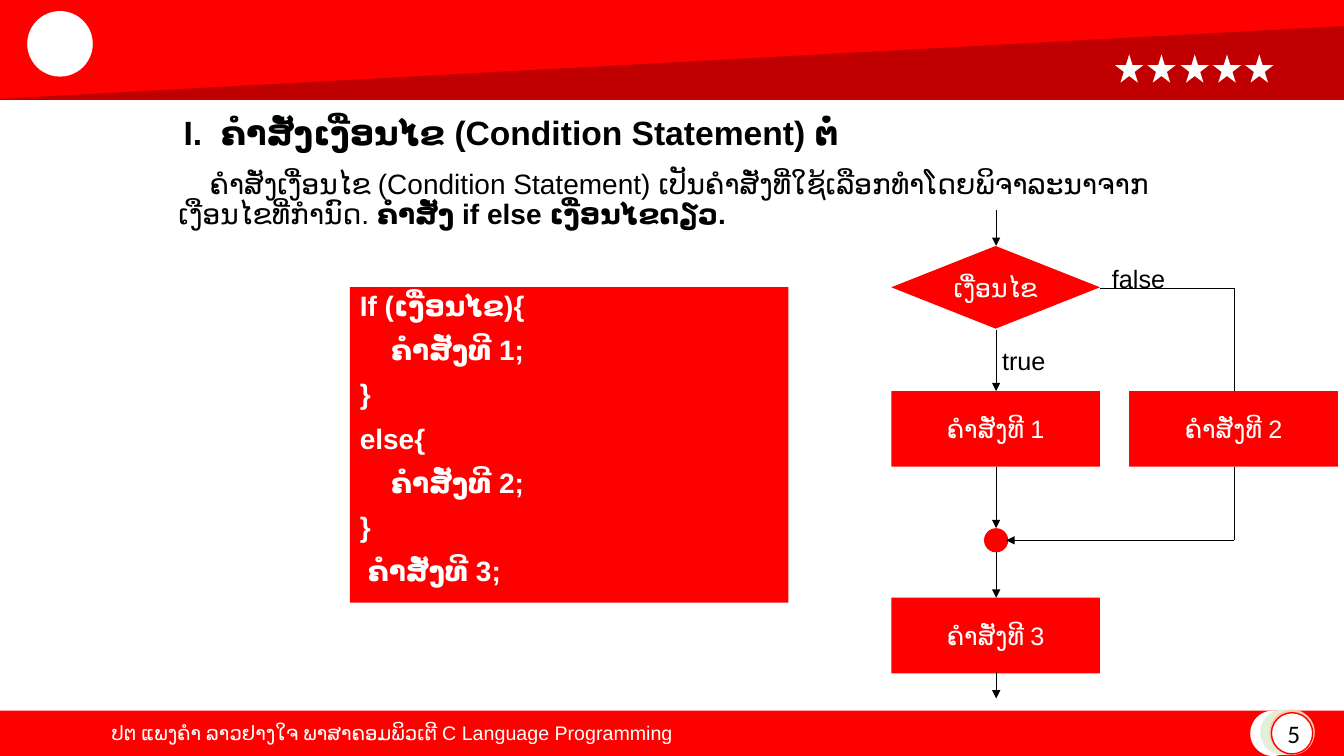
"""Build a slide on the if-else condition statement with its code and flowchart."""
from lxml import etree
from pptx import Presentation
from pptx.dml.color import RGBColor
from pptx.enum.shapes import MSO_CONNECTOR, MSO_SHAPE
from pptx.enum.text import MSO_ANCHOR, MSO_AUTO_SIZE, PP_ALIGN
from pptx.oxml.ns import qn
from pptx.util import Pt

PX = 9144
RECT, OVAL, STAR = MSO_SHAPE.RECTANGLE, MSO_SHAPE.OVAL, MSO_SHAPE.STAR_5_POINT
DECISION = MSO_SHAPE.FLOWCHART_DECISION
STRAIGHT = MSO_CONNECTOR.STRAIGHT
LEFT, CENTER = PP_ALIGN.LEFT, PP_ALIGN.CENTER
TOP, MIDDLE, BOTTOM = MSO_ANCHOR.TOP, MSO_ANCHOR.MIDDLE, MSO_ANCHOR.BOTTOM
NO_FIT, GROW = MSO_AUTO_SIZE.NONE, MSO_AUTO_SIZE.SHAPE_TO_FIT_TEXT

THEME = {
    "red": RGBColor(255, 0, 0), "dark": RGBColor(192, 0, 0),
    "white": RGBColor(255, 255, 255), "black": RGBColor(0, 0, 0),
    "green": RGBColor(226, 240, 217), "peach": RGBColor(248, 203, 173),
    "font": "Arial", "number_font": "Calibri",
    "title": 24, "body": 20, "label": 18, "footer": 14,
}

deck = Presentation()
deck.slide_width, deck.slide_height = 1333 * PX, 750 * PX
page = deck.slides.add_slide(deck.slide_layouts[0])


def add_block(kind, box, color):
    shape = page.shapes.add_shape(kind, *[side * PX for side in box])
    shape.shadow.inherit = False
    shape.fill.solid()
    shape.fill.fore_color.rgb = THEME[color]
    shape.line.fill.background()
    return shape


def format_text(shape, size, color, align=LEFT, anchor=TOP, bold=False, before=0, indents=()):
    frame = shape.text_frame
    frame.word_wrap = True
    frame.vertical_anchor = anchor
    for para in frame.paragraphs:
        para.alignment = align
        para.space_before = Pt(before)
        para.line_spacing = 0.9 if before or size == "title" else 1.0
        for span in para.runs:
            span.font.name = THEME["font"]
            span.font.size = Pt(THEME[size])
            span.font.color.rgb = THEME[color]
            span.font.bold = bold
    for para, (margin, first_line) in zip(frame.paragraphs, indents):
        properties = para._p.get_or_add_pPr()
        properties.set("marL", str(margin * PX))
        properties.set("indent", str(first_line * PX))


add_block(RECT, (-22, -26, 1387, 125), "dark")
add_block(RECT, (-10, -50, 1345, 112), "red").rotation = 356.9
add_block(OVAL, (27, 11, 65, 65), "white")
for index in range(5):
    add_block(STAR, (1106 + round(index * 32.3), 54, 28, 28), "white")

title, subtitle = page.placeholders
for holder, box in ((title, (172, 100, 1000, 57)), (subtitle, (167, 164, 1000, 113))):
    holder.left, holder.top, holder.width, holder.height = [side * PX for side in box]
    holder.text_frame.auto_size = NO_FIT

title.text_frame.text = "I.\tຄໍາສັ່ງເງື່ອນໄຂ (Condition Statement) ຕໍ່"
format_text(title, "title", "black", anchor=BOTTOM, bold=True, indents=[(37, -37)])

para = subtitle.text_frame.paragraphs[0]
para.text = "ຄໍາສັ່ງເງື່ອນໄຂ (Condition Statement) ເປັນຄໍາສັ່ງທີ່ໃຊ້ເລືອກທໍາໂດຍພິຈາລະນາຈາກເງືອນໄຂທີ່ກໍານົດ. "
emphasis = para.add_run()
emphasis.text = "ຄໍາສັ່ງ if else ເງື່ອນໄຂດຽວ."
format_text(subtitle, "body", "black", before=10, indents=[(0, 31)])
emphasis.font.bold = True

add_block(RECT, (0, 705, 1333, 45), "red")
for left, top, color in ((1240, 705, "white"), (1250, 704, "green"), (1259, 704, "peach")):
    add_block(OVAL, (left, top, 45, 45), color)
number = add_block(OVAL, (1261, 707, 41, 41), "white")
number.line.color.rgb = THEME["red"]
number.line.width = Pt(1)
number.text_frame.text = "5"
format_text(number, "label", "black", CENTER, MIDDLE)
number.text_frame.paragraphs[0].runs[0].font.name = THEME["number_font"]

footer = page.shapes.add_textbox(83 * PX, 713 * PX, 612 * PX, 38 * PX)
footer.text_frame.text = "ປຕ ແພງຄໍາ ລາວຢາງໃຈ ພາສາຄອມພິວເຕີ C Language Programming"
format_text(footer, "footer", "white", CENTER, before=10)

code = add_block(RECT, (347, 285, 435, 313), "red")
code.text_frame.text = "If (ເງື່ອນໄຂ){\nຄໍາສັ່ງທີ 1;\n}\nelse{\nຄໍາສັ່ງທີ 2;\n}\nຄໍາສັ່ງທີ 3;"
code_indents = [(margin, 0) for margin in (0, 31, 0, 0, 31, 0, 8)]
format_text(code, "body", "white", bold=True, before=10, indents=code_indents)

for kind, left, top, height, text in (
    (DECISION, 884, 244, 82, "ເງື່ອນໄຂ"),
    (RECT, 884, 388, 75, "ຄໍາສັ່ງທີ 1"),
    (RECT, 1120, 388, 75, "ຄໍາສັ່ງທີ 2"),
    (RECT, 884, 593, 75, "ຄໍາສັ່ງທີ 3"),
):
    step = add_block(kind, (left, top, 207, height), "red")
    step.text_frame.text = text
    format_text(step, "label", "white", CENTER, MIDDLE)
add_block(OVAL, (976, 524, 24, 24), "red")

for start_x, start_y, end_x, end_y, has_arrow in (
    (988, 208, 988, 244, True),
    (988, 327, 988, 388, True),
    (988, 463, 988, 524, True),
    (988, 548, 988, 593, True),
    (988, 667, 988, 693, True),
    (1091, 286, 1224, 286, False),
    (1224, 286, 1224, 388, False),
    (1224, 463, 1224, 536, False),
    (1224, 536, 998, 536, True),
):
    ends = [point * PX for point in (start_x, start_y, end_x, end_y)]
    link = page.shapes.add_connector(STRAIGHT, *ends)
    link.line.color.rgb = THEME["black"]
    link.line.width = Pt(0.5)
    if has_arrow:
        etree.SubElement(link.line._get_or_add_ln(), qn("a:tailEnd"), type="triangle")
    etree.SubElement(link._element.spPr, qn("a:effectLst"))

for left, top, text in ((984, 338, "true"), (1093, 256, "false")):
    label = page.shapes.add_textbox(left * PX, top * PX, 118 * PX, 40 * PX)
    label.text_frame.text = text
    label.text_frame.auto_size = GROW
    format_text(label, "label", "black")

deck.save("out.pptx")
